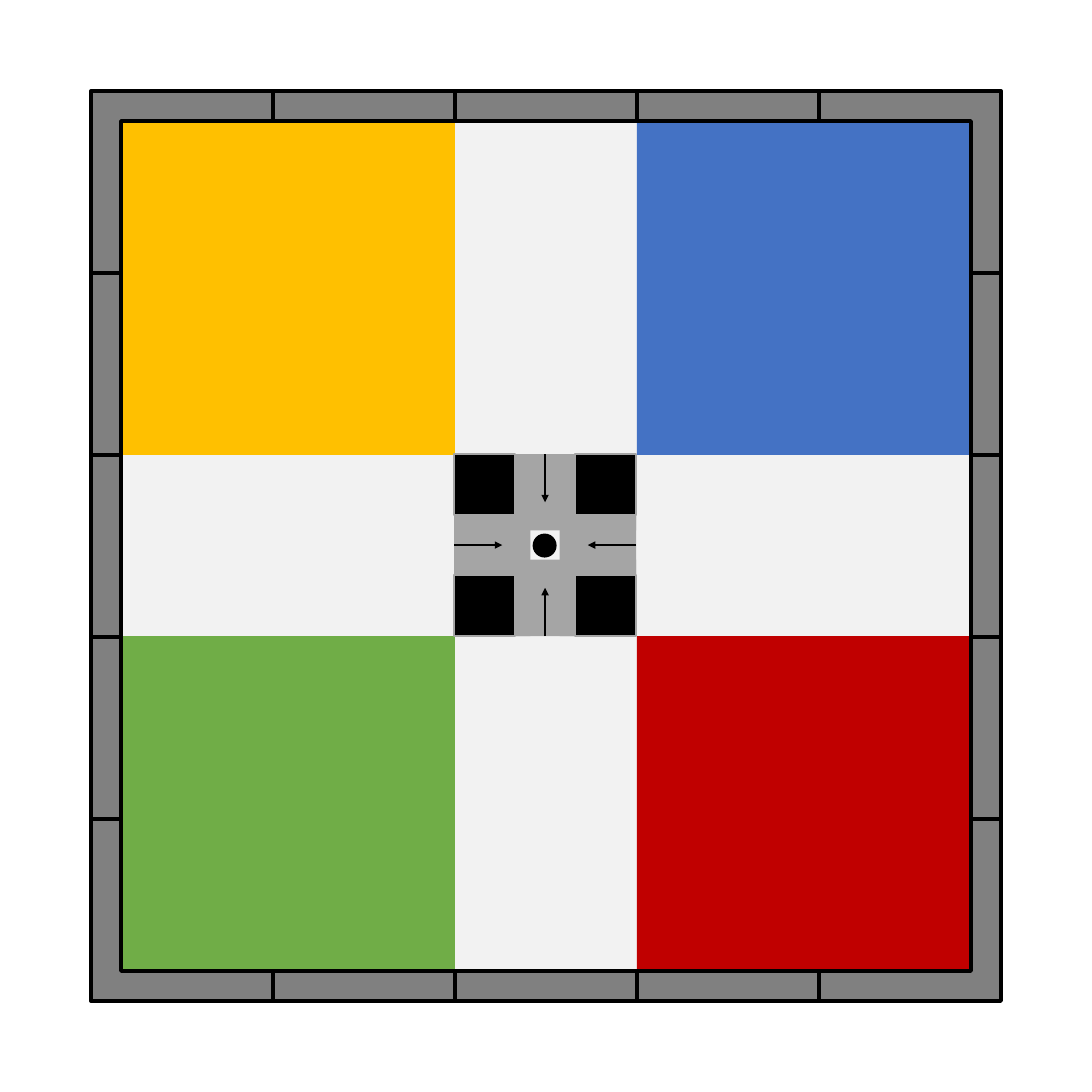
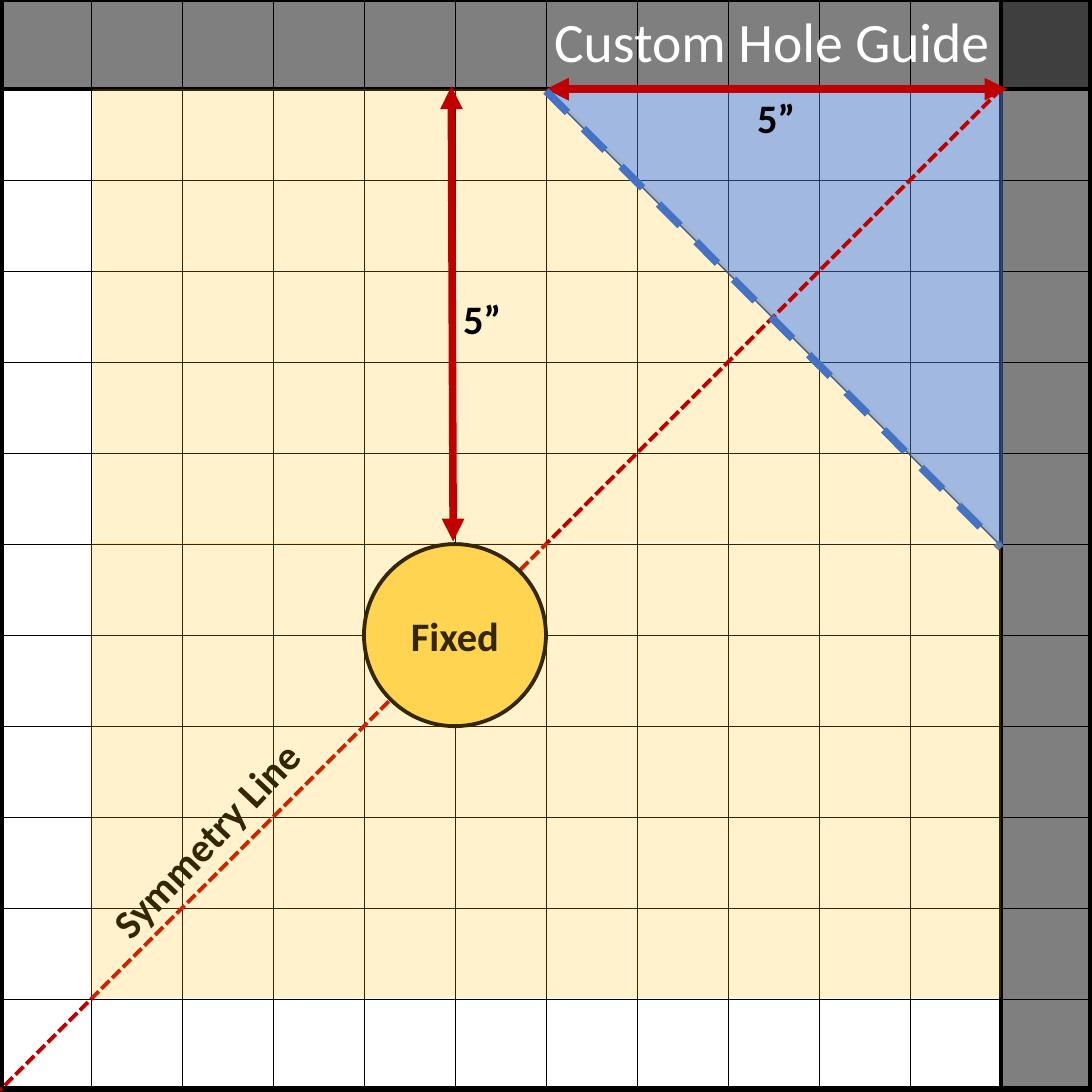
"""Build a game board and a hole guide as two square slides."""
import lxml.etree
import pptx
import pptx.dml.color
import pptx.enum.dml
import pptx.enum.shapes
import pptx.enum.text
import pptx.oxml.ns
import pptx.util

SHAPE = pptx.enum.shapes.MSO_SHAPE
DASH = pptx.enum.dml.MSO_LINE
ALIGN = pptx.enum.text.PP_ALIGN
qn = pptx.oxml.ns.qn

SIDE = 12
FONT = "Calibri"
BLACK, WHITE = "000000", "FFFFFF"
PALE, GREY, SILVER = "F2F2F2", "808080", "A5A5A5"
AMBER, BLUE, GREEN, RED = "FFC000", "4472C4", "70AD47", "C00000"
YELLOW, NAVY = "FFD966", "325491"


def inch(value):
    return pptx.util.Cm(value * 2.54)


def rgb(color):
    return pptx.dml.color.RGBColor.from_string(color)


def add_box(shapes, kind, place, fill, line=None, width=1, alpha=None, turn=0):
    box = shapes.add_shape(kind, *map(inch, place))
    box.shadow.inherit = False
    box.rotation = turn
    box.fill.solid()
    box.fill.fore_color.rgb = rgb(fill)
    if alpha:
        color = box._element.spPr.find(".//" + qn("a:srgbClr"))
        lxml.etree.SubElement(color, qn("a:alpha"), val=str(alpha * 1000))
    if line:
        box.line.color.rgb = rgb(line)
        box.line.width = pptx.util.Pt(width)
    else:
        box.line.fill.background()
    return box


def add_line(shapes, start, end, color=BLACK, width=3.0, dash=None, arrows=()):
    straight = pptx.enum.shapes.MSO_CONNECTOR.STRAIGHT
    line = shapes.add_connector(straight, *map(inch, (*start, *end)))
    line.line.color.rgb = rgb(color)
    line.line.width = pptx.util.Pt(width)
    if dash:
        line.line.dash_style = dash
    properties = line._element.spPr
    for arrow in arrows:
        lxml.etree.SubElement(properties.find(qn("a:ln")), qn("a:" + arrow), type="triangle")
    lxml.etree.SubElement(properties, qn("a:effectLst"))
    return line


def write(box, text, size=32, color=BLACK, bold=True, align=ALIGN.CENTER):
    para = box.text_frame.paragraphs[0]
    para.text = text
    para.alignment = align
    font = para.runs[0].font
    font.name, font.size, font.bold = FONT, pptx.util.Pt(size), bold
    font.color.rgb = rgb(color)


def add_label(shapes, place, text, turn=0, wrap=True, **style):
    box = shapes.add_textbox(*map(inch, place))
    box.rotation = turn
    box.text_frame.word_wrap = wrap
    box.text_frame.auto_size = pptx.enum.text.MSO_AUTO_SIZE.SHAPE_TO_FIT_TEXT
    write(box, text, **style)


def add_wall(shapes):
    near, far, thick = 1, 11, 0.33
    wall = add_box(shapes, SHAPE.FRAME, (near, near, 10, 10), GREY, BLACK, 3)
    wall.adjustments[0] = 0.033
    for joint in range(3, far, 2):
        for edge in (near, far - thick):
            add_line(shapes, (joint, edge + thick), (joint, edge))
            add_line(shapes, (edge + thick, joint), (edge, joint))


def add_hub(slide):
    near, size, bar, corner, reach = 4.99, 2, 0.84, 0.67, 0.53
    middle, far = near + size / 2, near + size
    shapes = slide.shapes.add_group_shape().shapes
    add_box(shapes, SHAPE.OVAL, (5.86, 5.87, 0.25, 0.25), BLACK, BLACK)
    sides = [
        (0, (near, near, size, bar), (middle, near), (middle, near + reach)),
        (2, (near, far - bar, size, bar), (middle, far), (middle, far - reach)),
        (1, (near, near, bar, size), (near, middle), (near + reach, middle)),
        (3, (far - bar, near, bar, size), (far, middle), (far - reach, middle)),
    ]
    bars = [add_box(shapes, SHAPE.RECTANGLE, place, SILVER) for _, place, _, _ in sides]
    for left in (near, far - corner):
        for top in (near, far - corner):
            add_box(shapes, SHAPE.RECTANGLE, (left, top, corner, corner), BLACK, SILVER)
    for box, (site, _, start, end) in zip(bars, sides):
        arrow = add_line(slide.shapes, start, end, width=1, arrows=["tailEnd"])
        arrow.begin_connect(box, site)


def build_board(slide):
    add_box(slide.shapes, SHAPE.RECTANGLE, (1, 1, 10, 10), PALE)
    for index, color in enumerate((AMBER, BLUE, GREEN, RED)):
        row, column = divmod(index, 2)
        add_box(slide.shapes, SHAPE.RECTANGLE, (1 + 6 * column, 1 + 5.99 * row, 4, 4), color)
    add_wall(slide.shapes.add_group_shape().shapes)
    add_hub(slide)


def add_grid(shapes, top):
    board = add_box(shapes, SHAPE.RECTANGLE, (0, top, SIDE, SIDE), WHITE, BLACK, 6)
    for step in range(1, SIDE):
        row = add_line(shapes, (0, top + step), (SIDE, top + step), width=0.5)
        column = add_line(shapes, (step, top + SIDE), (step, top), width=0.5)
        if step == SIDE / 2:
            row.begin_connect(board, 1)
            row.end_connect(board, 3)
            column.begin_connect(board, 2)
            column.end_connect(board, 0)
    for band in ((0, top, SIDE, 1), (SIDE - 1, 0, 1, SIDE)):
        add_box(shapes, SHAPE.RECTANGLE, band, BLACK, BLACK, 3, alpha=50)


def build_guide(slide):
    shapes = slide.shapes
    top = -0.02
    rail = top + 1
    both = ["headEnd", "tailEnd"]
    add_grid(shapes.add_group_shape().shapes, top)
    add_box(shapes, SHAPE.RIGHT_TRIANGLE, (6.02, 0.96, 5, 5), AMBER, alpha=20)
    add_box(shapes, SHAPE.RECTANGLE, (1.02, rail, 5, 5), AMBER, alpha=20)
    add_box(shapes, SHAPE.RIGHT_TRIANGLE, (6.01, 1.01, 5, 5), BLUE, NAVY, alpha=50, turn=180)
    add_line(shapes, (6, rail), (11.07, rail), RED, 6, arrows=both)
    add_label(shapes, (4.89, 3.18, 0.82, 0.64), "5”")
    add_line(shapes, (4.96, 0.95), (4.98, 5.95), RED, 6, arrows=both)
    add_line(shapes, (11, rail), (0, top + SIDE), RED, 3, DASH.SQUARE_DOT)
    add_line(shapes, (6, 1), (11, 6.02), BLUE, 6, DASH.DASH)
    add_label(shapes, (0.17, 8.91, 4.18, 0.64), "Symmetry Line", turn=313.5)
    add_label(shapes, (8.12, 0.97, 0.82, 0.64), "5”")
    disc = add_box(shapes, SHAPE.OVAL, (4, 5.98, 2, 2), YELLOW, BLACK, 3)
    write(disc, "Fixed")
    for left in (1, 6):
        add_box(shapes, SHAPE.RECTANGLE, (left, 5.97, 5, 5), AMBER, alpha=20)
    add_label(shapes, (5.99, 0.03, 5.12, 0.84), "Custom Hole Guide", wrap=False,
              size=44, color=WHITE, bold=False, align=ALIGN.LEFT)


def main():
    deck = pptx.Presentation()
    deck.slide_width = deck.slide_height = inch(SIDE)
    for build in (build_board, build_guide):
        build(deck.slides.add_slide(deck.slide_layouts[6]))
    deck.save("out.pptx")


if __name__ == "__main__":
    main()
